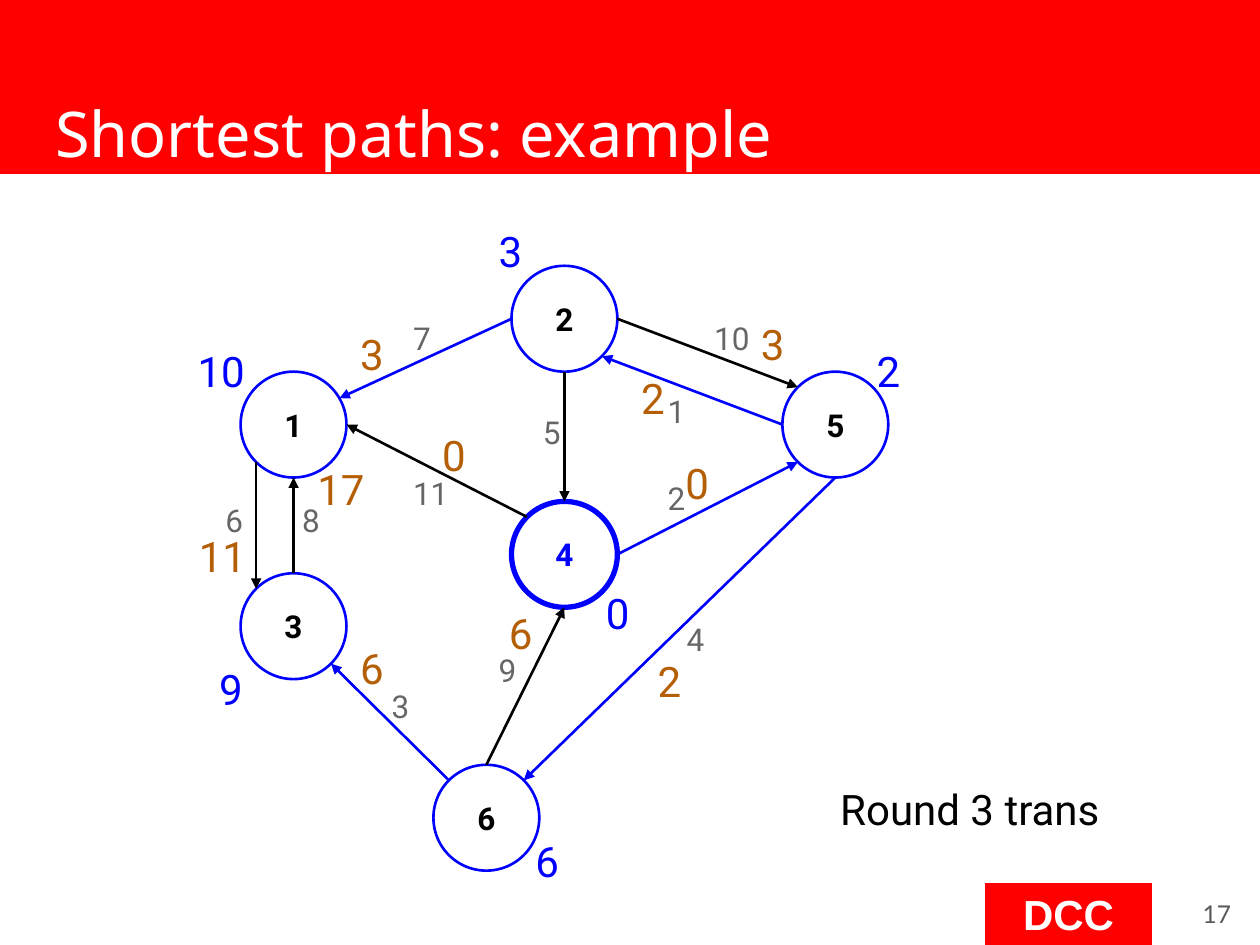
"""Build the slide with the weighted graph of the shortest paths example."""
from math import cos, radians, sin

from lxml import etree
from pptx import Presentation
from pptx.dml.color import RGBColor
from pptx.enum.shapes import MSO_CONNECTOR, MSO_SHAPE
from pptx.enum.text import MSO_ANCHOR, PP_ALIGN
from pptx.oxml.ns import qn
from pptx.util import Inches, Pt

RECT, OVAL = MSO_SHAPE.RECTANGLE, MSO_SHAPE.OVAL
STRAIGHT = MSO_CONNECTOR.STRAIGHT
TOP, MIDDLE = MSO_ANCHOR.TOP, MSO_ANCHOR.MIDDLE
LEFT, CENTER, RIGHT = PP_ALIGN.LEFT, PP_ALIGN.CENTER, PP_ALIGN.RIGHT
RED, BLUE, BLACK, WHITE = "FF0000", "0000FF", "000000", "FFFFFF"
GRAY, DARK_GRAY, ORANGE = "666666", "595959", "B45F06"
DIAMETER = 0.84


def rgb(color):
    return RGBColor.from_string(color)


def write(sp, text, size, color, font="Roboto", bold=False, align=LEFT, anchor=TOP):
    tf = sp.text_frame
    tf.word_wrap = True
    tf.vertical_anchor = anchor
    tf.margin_left = tf.margin_right = tf.margin_top = tf.margin_bottom = Inches(0.1)
    tf.text = text
    p = tf.paragraphs[0]
    p.alignment = align
    r = p.runs[0]
    r.font.name, r.font.size, r.font.bold = font, Pt(size), bold
    r.font.color.rgb = rgb(color)


prs = Presentation()
prs.slide_width, prs.slide_height = Inches(10), Inches(7.5)
s = prs.slides.add_slide(prs.slide_layouts[6])

bars = [(0, 0, 10, 1.38, ""), (7.82, 7.01, 1.32, 0.49, "DCC")]
for x, y, w, h, text in bars:
    sp = s.shapes.add_shape(RECT, Inches(x), Inches(y), Inches(w), Inches(h))
    sp.shadow.inherit = False
    sp.fill.solid()
    sp.fill.fore_color.rgb = rgb(RED)
    sp.line.color.rgb = rgb(RED)
    sp.line.width = Pt(0.75)
    if text:
        write(sp, text, 24, WHITE, "Arial", True, CENTER, MIDDLE)

sp = s.shapes.add_textbox(Inches(0.34), Inches(0.65), Inches(9.32), Inches(0.83))
write(sp, "Shortest paths: example", 36, WHITE, "Noto Sans")
sp = s.shapes.add_textbox(Inches(9.27), Inches(6.97), Inches(0.6), Inches(0.57))
write(sp, "17", 14, DARK_GRAY, "Lato", align=RIGHT, anchor=MIDDLE)

nodes = {1: (1.91, 2.95), 2: (4.06, 2.11), 5: (6.21, 2.95),
         3: (1.91, 4.55), 4: (4.06, 3.98), 6: (3.44, 6.07)}
for node, (x, y) in nodes.items():
    source = node == 4
    sp = s.shapes.add_shape(OVAL, Inches(x), Inches(y), Inches(DIAMETER), Inches(DIAMETER))
    sp.shadow.inherit = False
    sp.fill.background()
    sp.line.color.rgb = rgb(BLUE)
    sp.line.width = Pt(3 if source else 1.5)
    write(sp, str(node), 18, BLUE if source else BLACK, bold=True, align=CENTER, anchor=MIDDLE)

# start node, start angle, end node, end angle, colour
edges = [
    (2, 180, 1, 30, BLUE), (2, 270, 4, 90, BLACK), (2, 0, 5, 135, BLACK),
    (5, 180, 2, 315, BLUE), (4, 0, 5, 225, BLUE), (5, 270, 6, 45, BLUE),
    (6, 90, 4, 270, BLACK), (6, 135, 3, 315, BLUE), (3, 90, 1, 270, BLACK),
    (1, 225, 3, 135, BLACK), (4, 135, 1, 0, BLACK),
]
for start, start_angle, end, end_angle, color in edges:
    ends = []
    for node, angle in ((start, start_angle), (end, end_angle)):
        x, y = nodes[node]
        ends.append(Inches(x + DIAMETER / 2 * (1 + cos(radians(angle)))))
        ends.append(Inches(y + DIAMETER / 2 * (1 - sin(radians(angle)))))
    cxn = s.shapes.add_connector(STRAIGHT, *ends)
    cxn.line.color.rgb = rgb(color)
    cxn.line.width = Pt(1.5)
    etree.SubElement(cxn.line._get_or_add_ln(), qn("a:tailEnd"), type="triangle")
    etree.SubElement(cxn._element.spPr, qn("a:effectLst"))

sp = s.shapes.add_textbox(Inches(6.57), Inches(6.12), Inches(3.09), Inches(0.57))
write(sp, "Round 3 trans", 24, BLACK)

weights = [
    ("11", 3.18, 3.66), ("6", 1.69, 3.88), ("8", 2.3, 3.88), ("9", 3.86, 5.07),
    ("3", 3.01, 5.35), ("5", 4.21, 3.18), ("7", 3.18, 2.43), ("10", 5.57, 2.43),
    ("1", 5.2, 3.01), ("4", 5.35, 4.82), ("2", 5.2, 3.7),
]
distances = [
    ("6", 4.15, 6.53), ("9", 1.64, 5.17), ("10", 1.47, 2.64),
    ("3", 3.86, 1.69), ("2", 6.86, 2.64), ("0", 4.71, 4.56),
]
messages = [
    ("0", 5.34, 3.53), ("0", 3.41, 3.31), ("2", 5.12, 5.1), ("2", 4.99, 2.86),
    ("11", 1.48, 4.11), ("6", 2.76, 5), ("6", 3.94, 4.72), ("3", 2.76, 2.51),
    ("17", 2.42, 3.58), ("3", 5.94, 2.43),
]
for labels, size, color in ((weights, 18, GRAY), (distances, 24, BLUE), (messages, 24, ORANGE)):
    for text, x, y in labels:
        w = 0.41 if len(text) == 1 else 0.62
        sp = s.shapes.add_textbox(Inches(x), Inches(y), Inches(w), Inches(0.57))
        write(sp, text, size, color)

prs.save("out.pptx")
